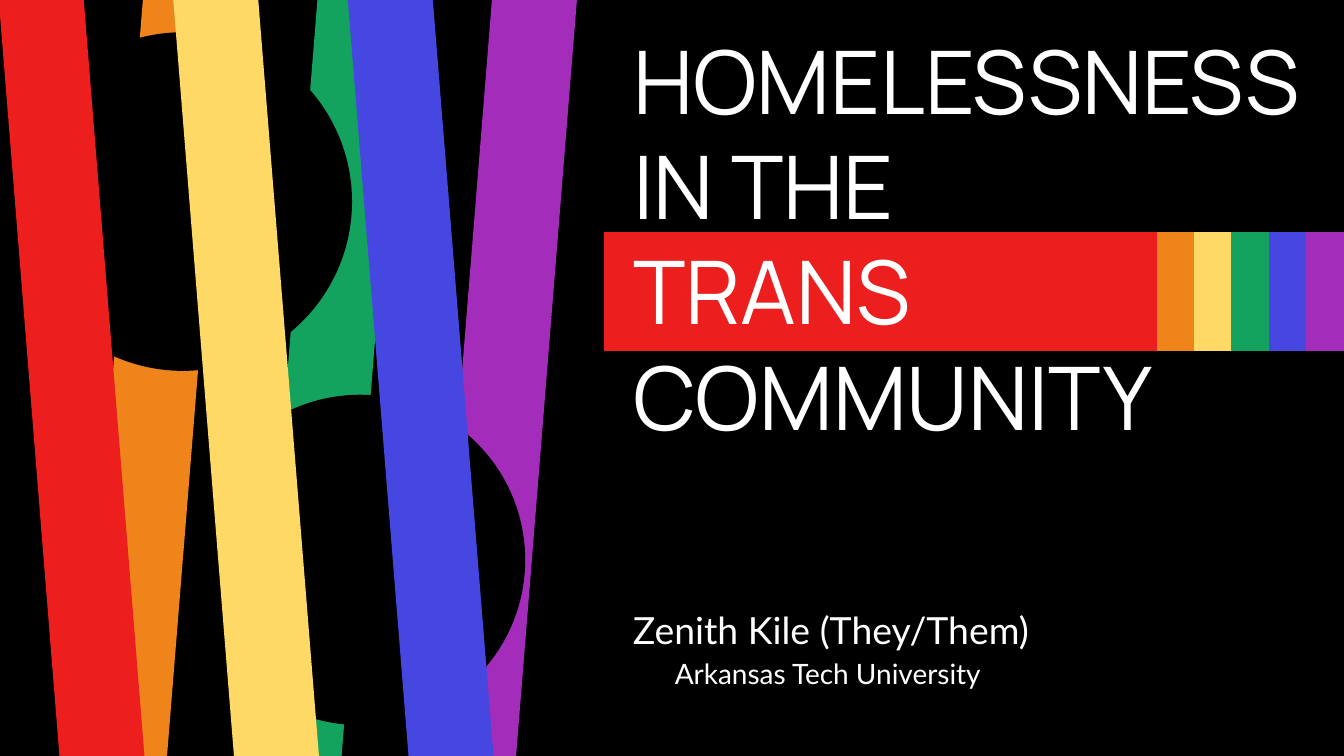
from pptx import Presentation
from pptx.dml.color import RGBColor
from pptx.enum.shapes import MSO_SHAPE
from pptx.enum.text import MSO_ANCHOR, MSO_AUTO_SIZE, PP_ALIGN
from pptx.util import Pt

RECT, OVAL = MSO_SHAPE.RECTANGLE, MSO_SHAPE.OVAL
MIDDLE, LEFT = MSO_ANCHOR.MIDDLE, PP_ALIGN.LEFT
NO_FIT = MSO_AUTO_SIZE.NONE
TITLE_ONLY = 5

COLORS = {
    "black": "000000", "white": "FFFFFF", "red": "EC1E1E", "orange": "EE841A",
    "yellow": "FFD966", "green": "13A35F", "blue": "4646E0", "purple": "A32CBB",
}
TILT = 4.6          # degrees, for the leaning stripes
STRIPE_GAP = 93.5   # between stripes that lean the same way
FRAME = {"word_wrap": True, "auto_size": NO_FIT, "vertical_anchor": MIDDLE,
         "margin_left": Pt(7.2), "margin_right": Pt(7.2),
         "margin_top": Pt(7.2), "margin_bottom": Pt(7.2)}


def rgb(name):
    return RGBColor.from_string(COLORS[name])


def add_block(s, kind, box, color, rotation=0, outlined=False):
    sp = s.shapes.add_shape(kind, *map(Pt, box))
    sp.shadow.inherit = False
    sp.rotation = rotation
    sp.fill.solid()
    sp.fill.fore_color.rgb = rgb(color)
    if outlined:
        sp.line.color.rgb = rgb(color)
        sp.line.width = Pt(0.75)
    else:
        sp.line.fill.background()


def add_stripe(s, left, color, rotation):
    add_block(s, RECT, (left, -13, 45.4, 434), color, rotation)


def add_band(s):
    """Red bar behind the key word, ending in narrow flag colours."""
    top, height, start, step = 124.6, 63.2, 620, 20
    add_block(s, RECT, (324, top, start - 324, height), "red", outlined=True)
    for i, color in enumerate(("orange", "yellow", "green", "blue", "purple")):
        add_block(s, RECT, (start + i * step, top, step, height), color, outlined=True)


def set_text(sp, box, lines, font, size):
    sp.left, sp.top, sp.width, sp.height = map(Pt, box)
    tf = sp.text_frame
    for name, value in FRAME.items():
        setattr(tf, name, value)
    tf.text = "\n".join(lines)
    for p in tf.paragraphs:
        p.alignment, p.line_spacing = LEFT, 1.0
        p.space_before = p.space_after = Pt(0)
        for r in p.runs:
            r.font.name, r.font.size = font, Pt(size)
            r.font.color.rgb = rgb("white")


def main():
    prs = Presentation()
    prs.slide_width, prs.slide_height = Pt(720), Pt(405)
    s = prs.slides.add_slide(prs.slide_layouts[TITLE_ONLY])
    s.background.fill.solid()
    s.background.fill.fore_color.rgb = rgb("black")

    # Right-leaning stripes, cut by black discs
    add_stripe(s, 60.2 + STRIPE_GAP, "green", TILT)
    add_stripe(s, 60.2, "orange", TILT)
    add_block(s, OVAL, (7.2, 17.3, 181.4, 181.4), "black")
    add_stripe(s, 60.2 + 2 * STRIPE_GAP, "purple", TILT)
    add_block(s, OVAL, (104.4, 211.5, 177, 177), "black")

    # Left-leaning stripes in front
    for i, color in reversed(list(enumerate(("red", "yellow", "blue")))):
        add_stripe(s, 15.8 + i * STRIPE_GAP, color, -TILT)

    add_band(s)

    # Title, brought in front of the band
    title = s.shapes.title
    s.shapes._spTree.append(title._element)
    set_text(title, (332, 0, 423.4, 254), ("HOMELESSNESS IN THE", "TRANS", "COMMUNITY"),
             "Manrope", 47)

    # Speaker and institution
    for box, line, size in (((332, 326, 250, 23), "Zenith Kile (They/Them)", 20),
                            ((354.4, 349, 187, 23), "Arkansas Tech University", 15)):
        set_text(s.shapes.add_textbox(*map(Pt, box)), box, [line], "Lato", size)

    prs.save("out.pptx")


if __name__ == "__main__":
    main()
